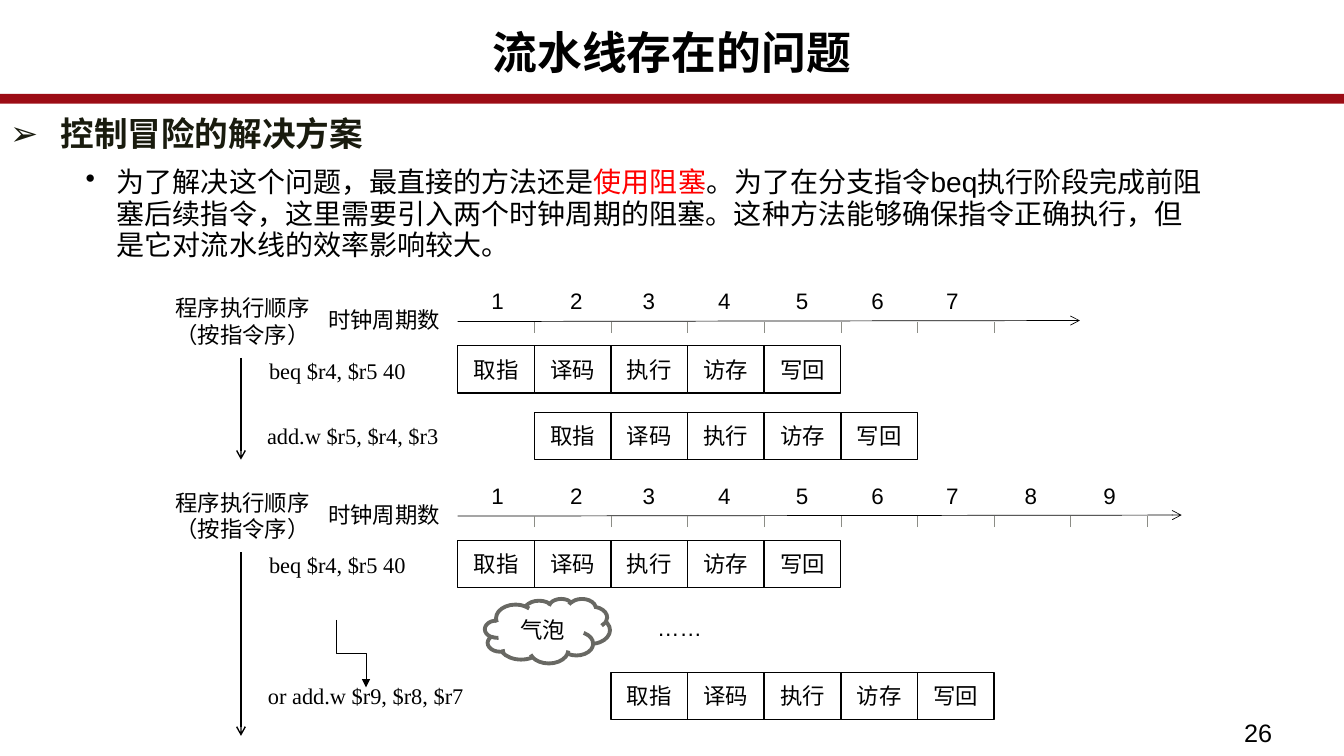
import pptx
import pptx.util
import pptx.dml.color
import pptx.enum.shapes
import pptx.enum.text
import pptx.oxml
import pptx.oxml.ns

Inches = pptx.util.Inches
Pt = pptx.util.Pt
RGBColor = pptx.dml.color.RGBColor
Shape = pptx.enum.shapes.MSO_SHAPE
Link = pptx.enum.shapes.MSO_CONNECTOR
Align = pptx.enum.text.PP_ALIGN
Anchor = pptx.enum.text.MSO_ANCHOR
Fit = pptx.enum.text.MSO_AUTO_SIZE
qn = pptx.oxml.ns.qn

BLACK = RGBColor(0x00, 0x00, 0x00)
WHITE = RGBColor(0xFF, 0xFF, 0xFF)
RED = RGBColor(0xFF, 0x00, 0x00)
CRIMSON = RGBColor(0x9C, 0x0C, 0x15)
OLIVE = RGBColor(0x19, 0x1B, 0x0E)
GREY = RGBColor(0x8C, 0x8D, 0x86)
SLATE = RGBColor(0x68, 0x68, 0x63)

STAGES = ["取指", "译码", "执行", "访存", "写回"]
MARKS = [4.49, 5.27, 5.99, 6.74, 7.51, 8.26, 9, 9.78, 10.56]
LEFT = 4.54
STEP = 0.76
HIGH = 0.47


class Deck:
    """Holds the style and the current slide, and draws each kind of element."""

    def __init__(self):
        self.file = pptx.Presentation()
        self.file.slide_width = Inches(13.33)
        self.file.slide_height = Inches(7.5)
        self.slide = self.file.slides.add_slide(self.file.slide_layouts[1])
        self.shapes = self.slide.shapes
        self.sans = "Arial"
        self.serif = "Times New Roman"

    def style(self, para, size, color=BLACK, face=None, bold=False):
        para.font.size = Pt(size)
        para.font.name = face or self.sans
        para.font.bold = bold
        para.font.color.rgb = color

    def place(self, shape, x, y, w, h):
        shape.left, shape.top = Inches(x), Inches(y)
        shape.width, shape.height = Inches(w), Inches(h)
        frame = shape.text_frame
        frame.word_wrap = True
        frame.auto_size = Fit.NONE
        frame.vertical_anchor = Anchor.TOP
        return frame.paragraphs[0]

    def title(self, text):
        para = self.place(self.shapes.title, 0, 0.26, 13.33, 0.75)
        para.text = text
        para.alignment = Align.CENTER
        para.line_spacing = 0.89
        self.style(para, 32, bold=True)

    def bullet(self, para, mark, left, hang):
        para.line_spacing = 0.94
        para.space_before = Pt(0)
        para.space_after = Pt(2)
        props = para._p.get_or_add_pPr()
        props.set("marL", str(Inches(left)))
        props.set("indent", str(-Inches(hang)))
        sign = pptx.oxml.parse_xml(
            '<a:buChar xmlns:a="http://schemas.openxmlformats.org/'
            f'drawingml/2006/main" char="{mark}"/>')
        props.append(sign)

    def body(self, text):
        para = self.place(self.shapes.placeholders[1], 0, 1.1, 12.85, 5.88)
        para.text = text
        self.bullet(para, "➢", 0.5, 0.5)
        self.style(para, 24, OLIVE, bold=True)

    def point(self, x, y, w, h, parts):
        box = self.shapes.add_textbox(0, 0, 0, 0)
        para = self.place(box, x, y, w, h)
        para.level = 1
        self.bullet(para, "•", 0.89, 0.31)
        self.style(para, 20)
        for text, color in parts:
            run = para.add_run()
            run.text = text
            run.font.color.rgb = color

    def label(self, text, x, y, w, h=HIGH):
        box = self.shapes.add_textbox(0, 0, 0, 0)
        para = self.place(box, x, y, w, h)
        box.text_frame.vertical_anchor = Anchor.MIDDLE
        para.text = text
        para.alignment = Align.CENTER
        self.style(para, 16)

    def note(self, text, x, y, w, h=0.37, size=16, face=None):
        box = self.shapes.add_textbox(0, 0, 0, 0)
        para = self.place(box, x, y, w, h)
        box.text_frame.word_wrap = False
        para.text = text
        self.style(para, size, face=face)

    def shape(self, kind, x, y, w, h, line, width, fill=None, text=""):
        item = self.shapes.add_shape(kind, 0, 0, 0, 0)
        item.shadow.inherit = False
        if fill is None:
            item.fill.background()
        else:
            item.fill.solid()
            item.fill.fore_color.rgb = fill
        item.line.color.rgb = line
        item.line.width = Pt(width)
        para = self.place(item, x, y, w, h)
        item.text_frame.vertical_anchor = Anchor.MIDDLE
        para.text = text
        para.alignment = Align.CENTER
        self.style(para, 16)

    def line(self, x1, y1, x2, y2, width, color=BLACK, head=None,
             kind=Link.STRAIGHT, turn=0):
        item = self.shapes.add_connector(
            kind, Inches(x1), Inches(y1), Inches(x2), Inches(y2))
        item.line.color.rgb = color
        item.line.width = Pt(width)
        props = item._element.spPr
        if head:
            tail = pptx.oxml.parse_xml(
                '<a:tailEnd xmlns:a="http://schemas.openxmlformats.org/'
                f'drawingml/2006/main" type="{head}"/>')
            item.line._get_or_add_ln().append(tail)
        if turn:
            props.find(qn("a:xfrm")).set("rot", str(turn * 60000))
        props.append(props.makeelement(qn("a:effectLst"), {}))

    def stages(self, x, y):
        for i, text in enumerate(STAGES):
            self.shape(Shape.RECTANGLE, x + i * STEP, y, STEP, HIGH,
                       BLACK, 1, text=text)

    def chart(self, y, count, end, deep):
        self.line(LEFT, y + 0.44, end, y + 0.43, 0.5, head="arrow")
        self.line(2.39, y + 0.8, 2.39, deep, 1, head="arrow")
        self.label("时钟周期数", 2.66, y + 0.19, 2.3)
        self.label("程序执行顺序（按指令序）", 1.62, y + 0.2, 1.57)
        for i, mark in enumerate(MARKS[:count]):
            self.label(str(i + 1), mark, y, 0.89)
            tick = LEFT + (i + 1) * STEP
            self.line(tick, y + 0.55, tick, y + 0.44, 0.5, GREY)
        self.stages(LEFT, y + 0.68)
        self.note("beq $r4, $r5 40", 2.57, y + 0.74, 1.57, face=self.serif)


def main():
    deck = Deck()
    deck.shape(Shape.ROUNDED_RECTANGLE, -0.01, 0.95, 13.34, 0.06,
               CRIMSON, 2.75, CRIMSON)
    deck.title("流水线存在的问题")
    deck.body("控制冒险的解决方案")
    deck.note("26", 12.24, 7.07, 1.09, 0.44, size=18)
    deck.point(0.17, 1.61, 11.85, 1.46, [
        ("为了解决这个问题，最直接的方法还是", BLACK),
        ("使用阻塞", RED),
        ("。为了在分支指令beq执行阶段完成前阻塞后续指令，"
         "这里需要引入两个时钟周期的阻塞。这种方法能够确保指令正确执行，"
         "但是它对流水线的效率影响较大。", BLACK)])

    deck.chart(2.75, 7, 10.71, 4.56)
    deck.stages(LEFT + STEP, 4.09)
    deck.note("add.w $r5, $r4, $r3", 2.55, 4.14, 1.92, face=deck.serif)

    deck.chart(4.68, 9, 11.72, 7.3)
    deck.stages(LEFT + 2 * STEP, 6.67)
    deck.note("or add.w $r9, $r8, $r7", 2.56, 6.72, 2.17, face=deck.serif)
    deck.line(3.82, 6.34, 3.15, 6.63, 0.5, head="triangle",
              kind=Link.ELBOW, turn=270)
    deck.shape(Shape.CLOUD, 4.81, 5.94, 1.24, 0.64, SLATE, 2.75, WHITE, "气泡")
    deck.label("……", 5.59, 5.99, 2.3)
    deck.file.save("out.pptx")


if __name__ == "__main__":
    main()
